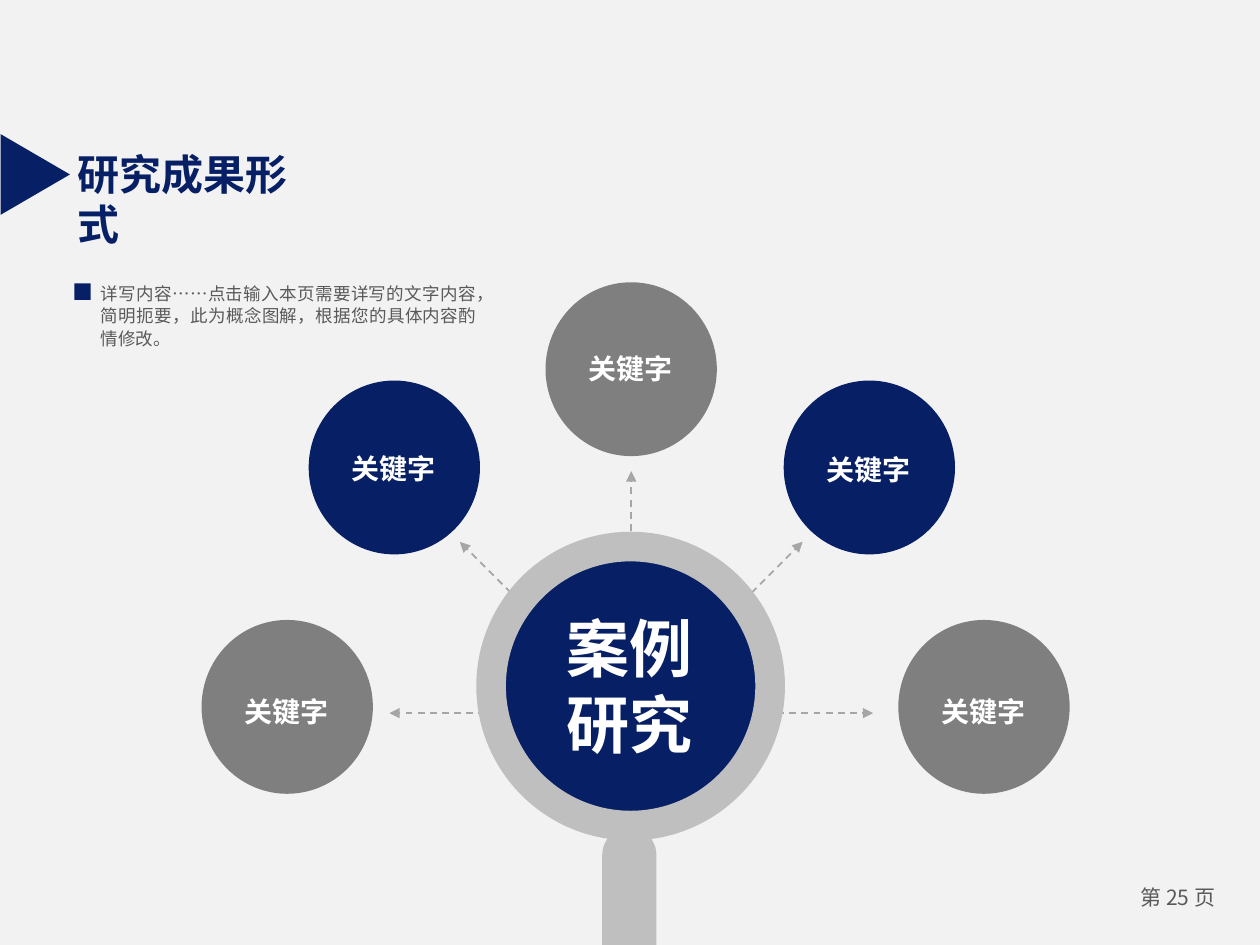
from lxml import etree
from pptx import Presentation
from pptx.dml.color import RGBColor
from pptx.enum.dml import MSO_LINE
from pptx.enum.shapes import MSO_CONNECTOR, MSO_SHAPE as SHAPE
from pptx.enum.text import MSO_AUTO_SIZE, PP_ALIGN as ALIGN
from pptx.oxml.ns import qn
from pptx.util import Inches, Pt

COLORS = {"background": "F2F2F2", "navy": "071F65", "gray": "7F7F7F",
          "ring": "BFBFBF", "arrow": "A6A6A6", "text": "595959", "white": "FFFFFF"}
NOTO = "Noto Sans CJK SC"

prs = Presentation()
prs.slide_width, prs.slide_height = Inches(10), Inches(7.5)
slide = prs.slides.add_slide(prs.slide_layouts[6])
slide.background.fill.solid()
slide.background.fill.fore_color.rgb = RGBColor.from_string(COLORS["background"])


def add_filled(kind, left, top, width, height, color):
    shape = slide.shapes.add_shape(kind, Inches(left), Inches(top), Inches(width), Inches(height))
    shape.shadow.inherit = False
    shape.fill.solid()
    shape.fill.fore_color.rgb = RGBColor.from_string(COLORS[color])
    shape.line.fill.background()
    return shape


def add_label(text, left, top, width, height, size, color, align=ALIGN.CENTER,
              bold=False, font=NOTO, inset=(0.1, 0.05), grow=True):
    box = slide.shapes.add_textbox(Inches(left), Inches(top), Inches(width), Inches(height))
    frame = box.text_frame
    across, down = map(Inches, inset)
    settings = {"word_wrap": True, "margin_left": across, "margin_right": across,
                "margin_top": down, "margin_bottom": down,
                "auto_size": MSO_AUTO_SIZE.SHAPE_TO_FIT_TEXT if grow else MSO_AUTO_SIZE.NONE}
    for name, value in settings.items():
        setattr(frame, name, value)
    paragraph = frame.paragraphs[0]
    paragraph.alignment = align
    run = paragraph.add_run()
    run.text = text
    for name, value in {"size": Pt(size), "bold": bold, "name": font}.items():
        setattr(run.font, name, value)
    run.font.color.rgb = RGBColor.from_string(COLORS[color])
    # East Asian typeface
    etree.SubElement(run.font._element, qn("a:ea")).set("typeface", font)
    return paragraph


# Page number
add_label("第 25 页", 8.9, 6.98, 0.9, 0.4, 12, "text", inset=(0.07, 0.04), grow=False)

# Title with its marker
add_label("研究成果形式", 0.52, 1.13, 2.18, 0.5, 24, "navy", ALIGN.LEFT, True, "Arial")
marker = add_filled(SHAPE.ISOSCELES_TRIANGLE, -0.04, 1.11, 0.64, 0.55, "navy")
marker.rotation = 90

# Dashed arrows from the hub
hub_x, hub_y = 5.01, 5.66
reach, diagonal = 1.92, 1.36
for dx, dy in [(-reach, 0), (reach, 0), (0, -reach), (-diagonal, -diagonal), (diagonal, -diagonal)]:
    arrow = slide.shapes.add_connector(MSO_CONNECTOR.STRAIGHT, Inches(hub_x), Inches(hub_y),
                                       Inches(hub_x + dx), Inches(hub_y + dy))
    arrow.line.color.rgb = RGBColor.from_string(COLORS["arrow"])
    arrow.line.width = Pt(1)
    arrow.line.dash_style = MSO_LINE.DASH
    etree.SubElement(arrow.line._get_or_add_ln(), qn("a:tailEnd")).set("type", "triangle")
    etree.SubElement(arrow._element.spPr, qn("a:effectLst"))

# Magnifying glass
add_filled(SHAPE.OVAL, 3.97, 4.43, 2.05, 2.05, "navy")
ring = add_filled(SHAPE.DONUT, 3.78, 4.22, 2.45, 2.45, "ring")
ring.adjustments[0] = 0.096
handle = add_filled(SHAPE.ROUNDED_RECTANGLE, 4.78, 6.57, 0.43, 1.5, "ring")
handle.adjustments[0] = 0.5
add_label("案例研究", 4.35, 4.79, 1.29, 1.31, 36, "white", bold=True)

# Keyword circles: left, top, colour, label drop
keywords = [(1.6, 4.92, "gray", 0.53), (2.45, 3.02, "navy", 0.5), (4.33, 2.24, "gray", 0.49),
            (6.22, 3.02, "navy", 0.51), (7.13, 4.92, "gray", 0.53)]
for left, top, color, drop in keywords:
    add_filled(SHAPE.OVAL, left, top, 1.36, 1.38, color)
    add_label("关键字", left + 0.19, top + drop, 0.97, 0.39, 16, "white", bold=True, inset=(0.12, 0.06))

# Description with its square bullet
description = add_label("详写内容……点击输入本页需要详写的文字内容，简明扼要，此为概念图解，"
                        "根据您的具体内容酌情修改。", 0.8, 2.23, 2.98, 0.55, 10, "text",
                        ALIGN.JUSTIFY, inset=(0, 0))
description.line_spacing = Pt(13)
add_filled(SHAPE.RECTANGLE, 0.59, 2.25, 0.13, 0.13, "navy")

prs.save("out.pptx")
